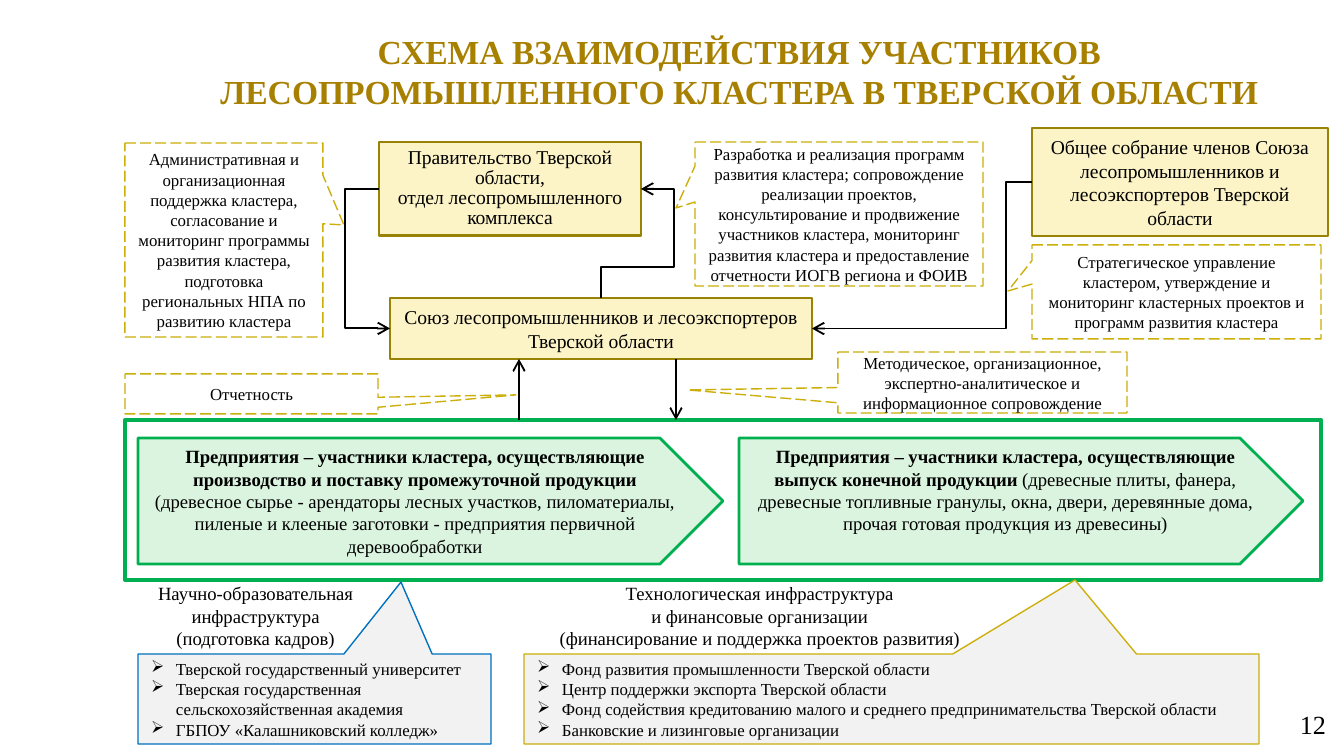
"""Build the slide on how the forest industry cluster participants interact."""
from dataclasses import dataclass
from typing import NamedTuple, Optional

from pptx import Presentation
from pptx.dml.color import RGBColor
from pptx.enum.dml import MSO_LINE_DASH_STYLE as Dash
from pptx.enum.shapes import MSO_CONNECTOR as Link, MSO_SHAPE as Preset
from pptx.enum.text import MSO_ANCHOR as Anchor, PP_ALIGN as Align
from pptx.oxml.ns import qn
from pptx.util import Emu, Pt

SCALE = 914400 / 134.4


@dataclass(frozen=True)
class Theme:
    font: str = "Times New Roman"
    ink: str = "000000"
    heading: str = "A88000"
    cream: str = "FCF4C7"
    bronze: str = "998307"
    gold: str = "CCAF0A"
    mint: str = "DAF4DF"
    green: str = "00B050"
    grey: str = "F2F2F2"
    blue: str = "0070C0"
    title_size: float = 18
    number_size: float = 14
    body_size: float = 10.5
    cluster_size: float = 10
    note_size: float = 9


THEME = Theme()


class Box(NamedTuple):
    left: int
    top: int
    width: int
    height: int


class Point(NamedTuple):
    x: int
    y: int


@dataclass(frozen=True)
class Callout:
    box: Box
    tip: Point
    lines: tuple[str, ...]
    outline: str = THEME.gold
    fill: Optional[str] = None
    bullet: str = ""


@dataclass(frozen=True)
class Producers:
    box: Box
    lead: str
    detail: str


@dataclass(frozen=True)
class Caption:
    box: Box
    lines: tuple[str, ...]
    size: float = THEME.cluster_size
    color: str = THEME.ink
    bold: bool = False
    align: Align = Align.CENTER
    inset: Point = Point(13, 7)


NOTES = (
    Callout(Box(125, 143, 198, 194), Point(344, 225), (
        "Административная и организационная поддержка кластера, согласование и мониторинг "
        "программы развития кластера, подготовка региональных НПА по развитию кластера",)),
    Callout(Box(695, 142, 288, 144), Point(676, 208), (
        "Разработка и реализация программ развития кластера; сопровождение реализации проектов, "
        "консультирование и продвижение участников кластера, мониторинг развития кластера и "
        "предоставление отчетности ИОГВ региона и ФОИВ",)),
    Callout(Box(1032, 245, 289, 94), Point(1008, 291), (
        "Стратегическое управление кластером, утверждение и мониторинг кластерных проектов и "
        "программ развития кластера",)),
    Callout(Box(838, 352, 289, 61), Point(688, 390), (
        "Методическое, организационное, экспертно-аналитическое и информационное сопровождение",)),
    Callout(Box(125, 374, 253, 40), Point(516, 395), ("Отчетность",)),
    Callout(Box(138, 654, 353, 90), Point(401, 582), (
        "Тверской государственный университет",
        "Тверская государственная сельскохозяйственная академия",
        "ГБПОУ «Калашниковский колледж»"), THEME.blue, THEME.grey, "➢"),
    Callout(Box(524, 654, 735, 90), Point(1075, 580), (
        "Фонд развития промышленности Тверской области",
        "Центр поддержки экспорта Тверской области",
        "Фонд содействия кредитованию малого и среднего предпринимательства Тверской области",
        "Банковские и лизинговые организации"), THEME.gold, THEME.grey, "➢"),
)
PRODUCERS = (
    Producers(Box(138, 438, 585, 126),
              "Предприятия – участники кластера, осуществляющие производство и поставку "
              "промежуточной продукции ",
              "(древесное сырье - арендаторы лесных участков, пиломатериалы, пиленые и клееные "
              "заготовки - предприятия первичной деревообработки"),
    Producers(Box(739, 438, 564, 126),
              "Предприятия – участники кластера, осуществляющие выпуск конечной продукции ",
              "(древесные плиты, фанера, древесные топливные гранулы, окна, двери, деревянные "
              "дома, прочая готовая продукция из древесины)"),
)
CAPTIONS = (
    Caption(Box(175, 26, 1129, 59), ("СХЕМА ВЗАИМОДЕЙСТВИЯ УЧАСТНИКОВ",
            "ЛЕСОПРОМЫШЛЕННОГО КЛАСТЕРА В ТВЕРСКОЙ ОБЛАСТИ"),
            THEME.title_size, THEME.heading, True, inset=Point(10, 5)),
    Caption(Box(1023, 703, 313, 52), ("12",), THEME.number_size, align=Align.RIGHT,
            inset=Point(10, 5)),
    Caption(Box(137, 575, 237, 82), ("Научно-образовательная", "инфраструктура",
            "(подготовка кадров)")),
    Caption(Box(512, 575, 495, 82), ("Технологическая инфраструктура",
            "и финансовые организации", "(финансирование и поддержка проектов развития)")),
)


def px(length: float) -> Emu:
    """Turn pixels into EMU."""
    return Emu(round(length * SCALE))


def write(holder, lines: tuple[str, ...], *, size: float, color: str = THEME.ink,
          bold: bool = False, align: Align = Align.CENTER, anchor: Anchor = Anchor.TOP,
          spacing: float = 1.0, lead: str = "", bullet: str = "",
          inset: Point = Point(13, 7)) -> None:
    """Fill a holder with formatted paragraphs, the first after an optional bold lead."""
    frame = holder.text_frame
    frame.word_wrap, frame.vertical_anchor = True, anchor
    frame.margin_left = frame.margin_right = px(inset.x)
    frame.margin_top = frame.margin_bottom = px(inset.y)
    for index, line in enumerate(lines):
        paragraph = frame.add_paragraph() if index else frame.paragraphs[0]
        paragraph.alignment, paragraph.line_spacing = align, spacing
        if bullet:
            properties = paragraph._p.get_or_add_pPr()
            properties.set("marL", str(px(25)))
            properties.set("indent", str(px(-25)))
            mark = properties.makeelement(qn("a:buChar"), {"char": bullet})
            properties.append(mark)
        pieces = ((lead, True), (line, bold)) if lead and not index else ((line, bold),)
        for words, heavy in pieces:
            run = paragraph.add_run()
            run.text = words
            run.font.name, run.font.size, run.font.bold = THEME.font, Pt(size), heavy
            run.font.color.rgb = RGBColor.from_string(color)


def draw_shape(slide, preset: Preset, box: Box, outline: str, weight: float,
               fill: Optional[str] = None):
    """Draw a preset shape with its outline and optional fill."""
    shape = slide.shapes.add_shape(preset, *map(px, box))
    shape.shadow.inherit = False
    if fill:
        shape.fill.solid()
        shape.fill.fore_color.rgb = RGBColor.from_string(fill)
    else:
        shape.fill.background()
    shape.line.color.rgb = RGBColor.from_string(outline)
    shape.line.width = Pt(weight)
    return shape


def draw_body(slide, box: Box, *lines: str, spacing: float = 1.0):
    """Draw a governing body of the cluster."""
    body = draw_shape(slide, Preset.RECTANGLE, box, THEME.bronze, 1.5, THEME.cream)
    write(body, lines, size=THEME.body_size, spacing=spacing)
    return body


def draw_callout(slide, note: Callout) -> None:
    """Draw a callout whose tail ends at its tip."""
    callout = draw_shape(slide, Preset.RECTANGULAR_CALLOUT, note.box, note.outline, 0.75, note.fill)
    left, top, width, height = note.box
    callout.adjustments[0] = (note.tip.x - left) / width - 0.5
    callout.adjustments[1] = (note.tip.y - top) / height - 0.5
    if not note.fill:
        callout.line.dash_style = Dash.LONG_DASH
    write(callout, note.lines, size=THEME.note_size, anchor=Anchor.MIDDLE, bullet=note.bullet,
          align=Align.LEFT if note.bullet else Align.CENTER)


def draw_arrow(slide, start: Point, end: Point, kind: Link = Link.STRAIGHT):
    """Draw a black connector with an open arrowhead at its end."""
    arrow = slide.shapes.add_connector(kind, *map(px, (*start, *end)))
    arrow.line.color.rgb = RGBColor.from_string(THEME.ink)
    arrow.line.width = Pt(1)
    line = arrow.line._ln
    line.append(line.makeelement(qn("a:tailEnd"), {"type": "arrow"}))
    properties = arrow._element.spPr
    properties.append(properties.makeelement(qn("a:effectLst"), {}))
    return arrow


def bend(arrow, preset: str, *ratios: float) -> None:
    """Set where an elbow connector turns, as shares of its extent."""
    geometry = arrow._element.spPr.find(qn("a:prstGeom"))
    geometry.set("prst", preset)
    guides = geometry.get_or_add_avLst()
    for number, ratio in enumerate(ratios, 1):
        guides.append(guides.makeelement(
            qn("a:gd"), {"name": f"adj{number}", "fmla": f"val {round(ratio * 100000)}"}))


def draw_side_route(slide, source, source_side: int, start: Point, target, target_side: int,
                    end: Point, turn: int) -> None:
    """Join two bodies by a route with one vertical run at the turn."""
    route = draw_arrow(slide, start, end, Link.ELBOW)
    route.begin_connect(source, source_side)
    route.end_connect(target, target_side)
    bend(route, "bentConnector3", (turn - start.x) / (end.x - start.x))


def draw_upward_route(slide, source, start: Point, target, end: Point, turn: Point) -> None:
    """Join the top of one body to the right side of a higher one."""
    rise, run = start.y - end.y, end.x - start.x
    route = draw_arrow(slide, start, end, Link.ELBOW)
    route.begin_connect(source, 0)
    route.end_connect(target, 3)
    route.left, route.top = px((start.x + end.x - rise) / 2), px((start.y + end.y - run) / 2)
    route.width, route.height = px(rise), px(run)
    transform = route._element.spPr.find(qn("a:xfrm"))
    for key, value in (("rot", "5400000"), ("flipH", "1"), ("flipV", "1")):
        transform.set(key, value)
    bend(route, "bentConnector4", (start.y - turn.y) / rise, (turn.x - start.x) / run)


def main() -> None:
    """Assemble and save the slide."""
    deck = Presentation()
    deck.slide_width, deck.slide_height = px(1344), px(756)
    slide = deck.slides.add_slide(deck.slide_layouts[6])

    government = draw_body(slide, Box(379, 142, 262, 94), "Правительство Тверской области,",
                           "отдел лесопромышленного комплекса", spacing=0.85)
    union = draw_body(slide, Box(390, 298, 422, 61),
                      "Союз лесопромышленников и лесоэкспортеров Тверской области")
    assembly = draw_body(slide, Box(1032, 128, 296, 108), "Общее собрание членов Союза "
                         "лесопромышленников и лесоэкспортеров Тверской области")
    draw_shape(slide, Preset.RECTANGLE, Box(125, 420, 1196, 160), THEME.green, 2.25)
    for group in PRODUCERS:
        plate = draw_shape(slide, Preset.PENTAGON, group.box, THEME.green, 1.5, THEME.mint)
        write(plate, (group.detail,), size=THEME.cluster_size, lead=group.lead)
    for note in NOTES:
        draw_callout(slide, note)

    draw_side_route(slide, government, 1, Point(379, 189), union, 1, Point(390, 328), 345)
    draw_side_route(slide, assembly, 1, Point(1032, 189), union, 3, Point(812, 328), 1006)
    draw_upward_route(slide, union, Point(601, 298), government, Point(641, 189), Point(674, 267))
    draw_arrow(slide, Point(676, 359), Point(676, 420))
    draw_arrow(slide, Point(519, 420), Point(519, 359))

    for caption in CAPTIONS:
        label = slide.shapes.add_textbox(*map(px, caption.box))
        write(label, caption.lines, size=caption.size, color=caption.color, bold=caption.bold,
              align=caption.align, inset=caption.inset)
    deck.save("out.pptx")


if __name__ == "__main__":
    main()
